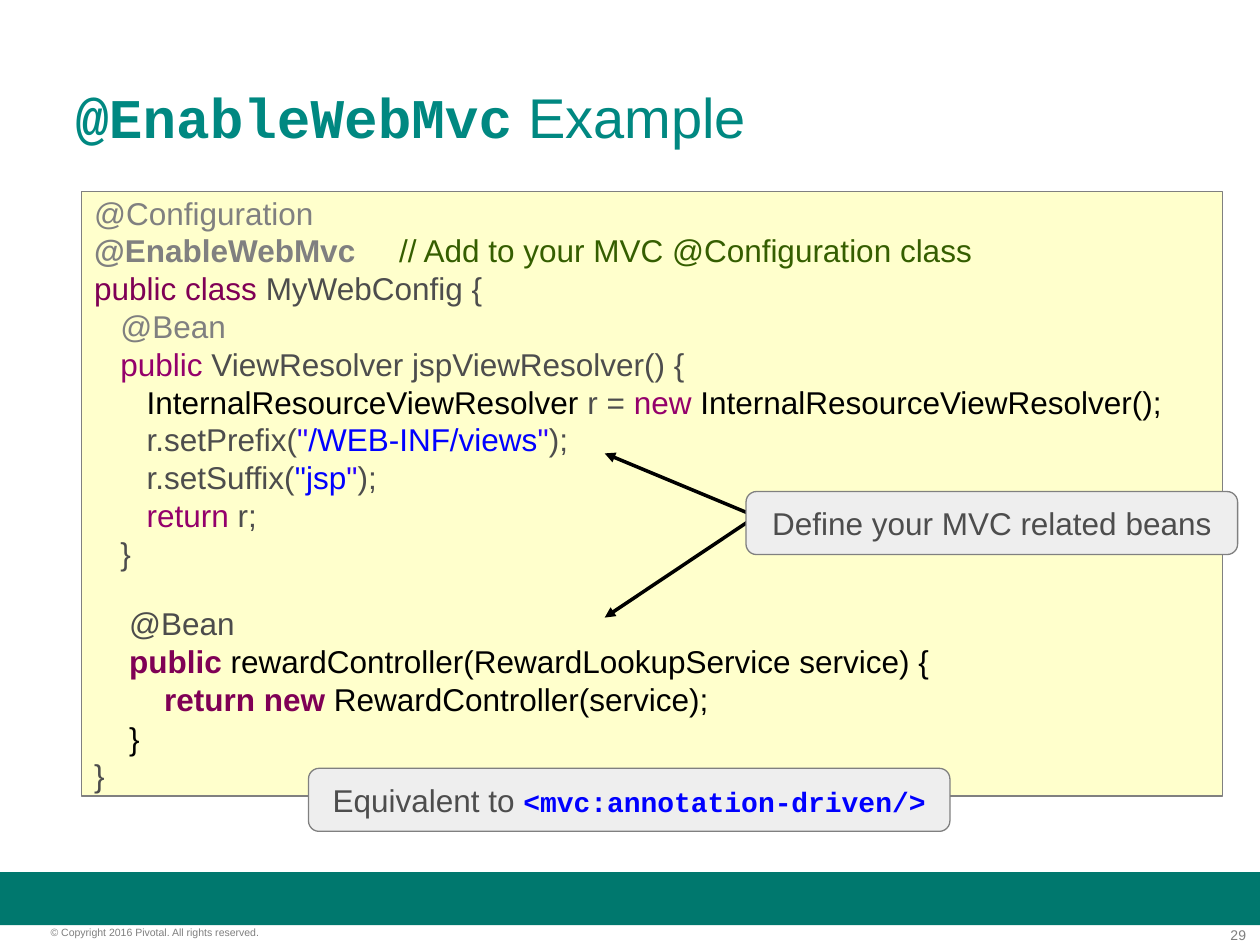
from lxml import etree
from pptx import Presentation
from pptx import util as u
from pptx.dml.color import RGBColor
from pptx.enum import shapes, text
from pptx.oxml import ns

SANS, MONO = "Arial", "Courier New"
TEAL, GREY, DARK, BLACK = "008881", "808080", "4D4D4D", "000000"
PLUM, PINK, BLUE, QUOTE = "7F0055", "94006B", "0000FF", "2A00FF"


def paint(item, color):
    """Give a fill, line or font one solid colour."""
    if hasattr(item, "solid"):
        item.solid()
        item.fore_color.rgb = RGBColor.from_string(color)
    else:
        item.color.rgb = RGBColor.from_string(color)


def write(para, runs, size, align=text.PP_ALIGN.LEFT):
    """Add runs of (words, colour, bold, font, size); the last three may be left out."""
    para.alignment = align
    para.font.size = u.Pt(size)
    para.font.name = SANS
    for words, color, *rest in runs:
        bold, face, points = rest + [False, None, None][len(rest):]
        run = para.add_run()
        run.text = words
        paint(run.font, color)
        run.font.bold = bold
        if face:
            run.font.name = face
        if points:
            run.font.size = u.Pt(points)


deck = Presentation()
deck.slide_width, deck.slide_height = u.Cm(25.4), u.Cm(19.05)
slide = deck.slides.add_slide(deck.slide_layouts[6])
tree = slide.shapes

# Footer
band = tree.add_shape(shapes.MSO_SHAPE.RECTANGLE, 0, u.Cm(17.58), deck.slide_width, u.Cm(1.07))
band.shadow.inherit = False
paint(band.fill, "00786E")
band.line.fill.background()

# Title, page number and copyright line
labels = [
    ((23.65, 18.67, 1.47, 0.33), [("29", "7F7F7F")], 8, text.PP_ALIGN.RIGHT),
    ((1.02, 18.67, 6.32, 0.25),
     [("© Copyright 2016 Pivotal. All rights reserved.", "7F7F7F")], 6, text.PP_ALIGN.LEFT),
    ((1.27, 0.76, 22.86, 3.18),
     [("@EnableWebMvc", TEAL, True, MONO), (" Example", TEAL)], 32, text.PP_ALIGN.LEFT),
]
for place, runs, size, align in labels:
    frame = tree.add_textbox(*map(u.Cm, place)).text_frame
    frame.word_wrap = True
    if size < 10:
        frame.margin_left = frame.margin_right = frame.margin_top = frame.margin_bottom = 0
    else:
        frame.vertical_anchor = text.MSO_ANCHOR.MIDDLE
    write(frame.paragraphs[0], runs, size, align)

# Code listing
code = [
    [("@Configuration", GREY)],
    [("@EnableWebMvc     ", GREY, True), ("// Add to your MVC @Configuration class", "355E00")],
    [("public class ", PLUM), ("MyWebConfig {", DARK)],
    [("   @Bean", GREY)],
    [("   public", PINK), (" ViewResolver jspViewResolver() {", DARK)],
    [("      InternalResourceViewResolver", BLACK), (" r = ", DARK), ("new ", PINK),
     ("InternalResourceViewResolver();", BLACK)],
    [("      r.setPrefix(", DARK), ('"', QUOTE), ("/WEB-INF/views", BLUE), ('"', QUOTE),
     (");", DARK)],
    [("      r.setSuffix(", DARK), ('"jsp', BLUE), ('"', QUOTE), (");", DARK)],
    [("      return", PINK), (" r;", DARK)],
    [("   }", DARK)],
    [("    @Bean", "4C4C4C")],
    [("    public ", PLUM, True), ("rewardController(RewardLookupService service) {", BLACK)],
    [("        ", BLACK), ("return new ", PLUM, True), ("RewardController(service);", BLACK)],
    [("    }", BLACK)],
    [("}", DARK)],
]
panel = tree.add_shape(shapes.MSO_SHAPE.RECTANGLE, *map(u.Cm, (1.65, 3.86, 22.99, 12.19)))
panel.shadow.inherit = False
paint(panel.fill, "FFFFCC")
paint(panel.line, GREY)
panel.line.width = 0
frame = panel.text_frame
frame.word_wrap = True
frame.vertical_anchor = text.MSO_ANCHOR.MIDDLE
for row, runs in enumerate(code):
    para = frame.add_paragraph() if row else frame.paragraphs[0]
    write(para, runs, 18)
    if row == 10:
        para.space_before = u.Pt(18.4)
    elif row in (11, 12, 13):
        para.line_spacing = 0.8
        para.space_before = u.Pt(4.5)

# Arrows from the beans note to the code
for end in (9.14, 12.45):
    arrow = tree.add_connector(shapes.MSO_CONNECTOR.STRAIGHT,
                               u.Cm(15.24), u.Cm(10.41), u.Cm(12.19), u.Cm(end))
    paint(arrow.line, BLACK)
    arrow.line.width = 0
    props = arrow.line._get_or_add_ln()
    etree.SubElement(props, ns.qn("a:tailEnd"), type="triangle")
    etree.SubElement(arrow._element.spPr, ns.qn("a:effectLst"))

# Notes
notes = [
    ((6.22, 15.49, 12.93, 1.27), False,
     [("Equivalent to ", DARK), ("<mvc:annotation-driven/>", BLUE, True, MONO, 16)]),
    ((15.04, 9.91, 9.91, 1.27), True, [("Define your MVC related beans", DARK)]),
]
for place, wrap, runs in notes:
    note = tree.add_shape(shapes.MSO_SHAPE.ROUNDED_RECTANGLE, *map(u.Cm, place))
    note.shadow.inherit = False
    paint(note.fill, "EEEEEE")
    paint(note.line, GREY)
    note.line.width = 0
    note.text_frame.word_wrap = wrap
    note.text_frame.vertical_anchor = text.MSO_ANCHOR.MIDDLE
    write(note.text_frame.paragraphs[0], runs, 18, text.PP_ALIGN.CENTER)

deck.save("out.pptx")
